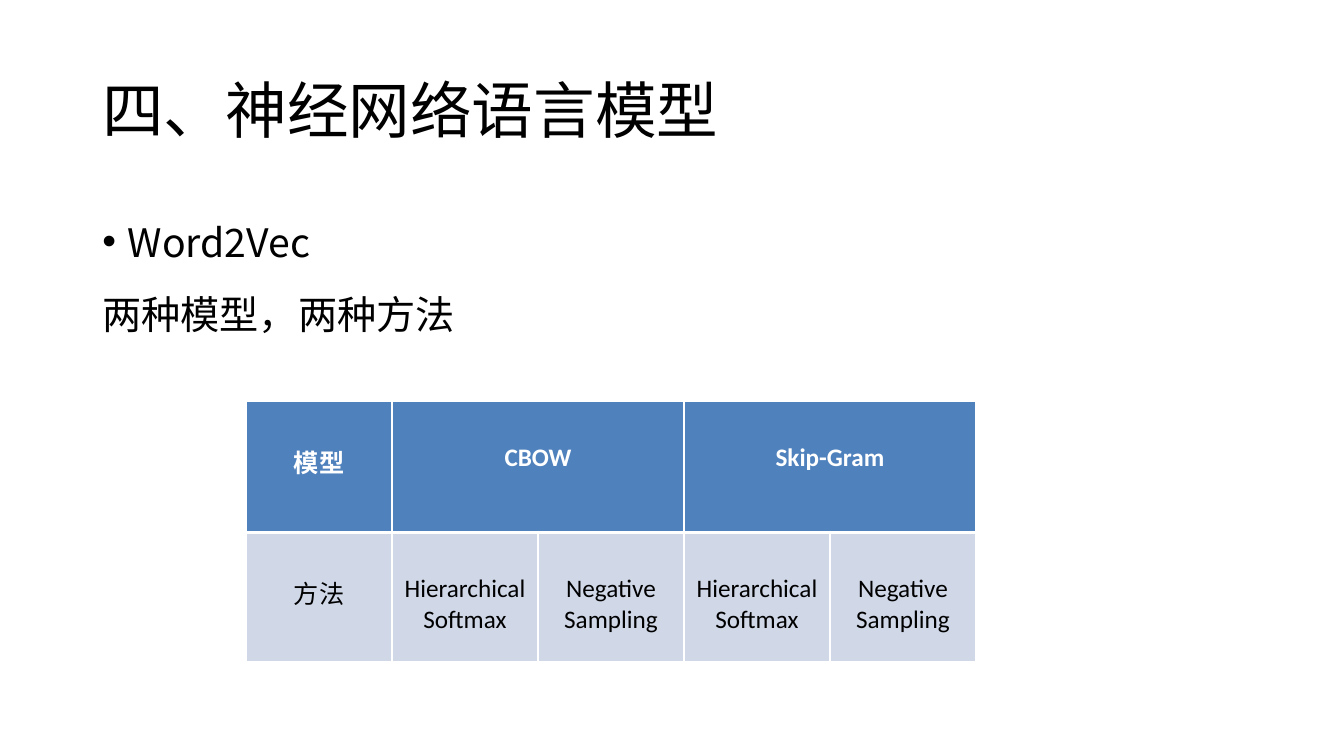
from dataclasses import dataclass

from lxml.etree import SubElement
from pptx import Presentation
from pptx.dml.color import RGBColor
from pptx.enum.text import MSO_ANCHOR, PP_ALIGN
from pptx.oxml.ns import qn
from pptx.util import Cm, Pt


@dataclass(frozen=True)
class Theme:
    cjk: str = "Noto Sans CJK SC"
    latin: str = "Calibri"
    ink: str = "000000"
    white: str = "FFFFFF"
    head: str = "4F81BD"
    body: str = "D0D8E8"
    title: int = 44
    text: int = 28
    cell: int = 18
    thin: int = 1
    thick: int = 3


THEME = Theme()

HEADS = ["模型", "CBOW", "", "Skip-Gram", ""]
WAYS = ["方法"] + ["Hierarchical Softmax", "Negative Sampling"] * 2


def style(para, size, font, color, bold=False):
    for run in para.runs:
        run.font.size = Pt(size)
        run.font.bold = bold
        run.font.color.rgb = RGBColor.from_string(color)
        run.font.name = font
        SubElement(run.font._element, qn("a:ea"), typeface=THEME.cjk)


def add_box(slide, box, anchor):
    frame = slide.shapes.add_textbox(*box).text_frame
    frame.word_wrap = True
    frame.vertical_anchor = anchor
    return frame


# Heading
def add_title(slide, box, text):
    frame = add_box(slide, box, MSO_ANCHOR.MIDDLE)
    frame.text = text
    para = frame.paragraphs[0]
    para.line_spacing = 0.9
    style(para, THEME.title, THEME.cjk, THEME.ink)


# Bullet and the line below it
def add_body(slide, box, lines):
    frame = add_box(slide, box, MSO_ANCHOR.TOP)
    frame.text = "\n".join(lines)
    for para in frame.paragraphs:
        para.line_spacing = 1.25
        para.space_before = Pt(10)
        style(para, THEME.text, THEME.cjk, THEME.ink)
    props = frame.paragraphs[0]._p.get_or_add_pPr()
    props.set("marL", str(Cm(0.64)))
    props.set("indent", str(-Cm(0.64)))
    SubElement(props, qn("a:buFont"), typeface="Arial")
    SubElement(props, qn("a:buChar"), char="•")


def add_edges(cell, top, bottom):
    props = cell._tc.get_or_add_tcPr()
    widths = {"L": THEME.thin, "R": THEME.thin, "T": top, "B": bottom}
    for at, (side, width) in enumerate(widths.items()):
        line = SubElement(props, qn(f"a:ln{side}"), w=str(Pt(width)))
        fill = SubElement(line, qn("a:solidFill"))
        SubElement(fill, qn("a:srgbClr"), val=THEME.white)
        props.insert(at, line)


# Models over their methods
def add_grid(slide, box, rows):
    grid = slide.shapes.add_table(len(rows), len(rows[0]), *box).table
    grid.rows[0].height = Cm(3.3)
    grid.rows[1].height = box[3] - Cm(3.3)
    for col in grid.columns:
        col.width = box[2] // len(rows[0])
    for y, row in enumerate(rows):
        is_head = y == 0
        for x, text in enumerate(row):
            cell = grid.cell(y, x)
            cell.text = text
            cell.margin_top = Cm(1.04)
            cell.fill.solid()
            cell.fill.fore_color.rgb = RGBColor.from_string(
                THEME.head if is_head else THEME.body)
            add_edges(cell, THEME.thin if is_head else THEME.thick,
                      THEME.thick if is_head else THEME.thin)
            para = cell.text_frame.paragraphs[0]
            para.alignment = PP_ALIGN.CENTER
            style(para, THEME.cell, THEME.latin,
                  THEME.white if is_head else THEME.ink, is_head)
    for x in (1, 3):
        grid.cell(0, x).merge(grid.cell(0, x + 1))


def main():
    deck = Presentation()
    deck.slide_width, deck.slide_height = Cm(33.87), Cm(19.05)
    slide = deck.slides.add_slide(deck.slide_layouts[6])
    left, width = Cm(2.33), Cm(29.21)
    add_title(slide, (left, Cm(1.01), width, Cm(3.68)), "四、神经网络语言模型")
    add_body(slide, (left, Cm(5.07), width, Cm(4.8)),
             ["Word2Vec", "两种模型，两种方法"])
    add_grid(slide, (Cm(6.2), Cm(10.12), Cm(18.4), Cm(6.55)), [HEADS, WAYS])
    deck.save("out.pptx")


if __name__ == "__main__":
    main()
